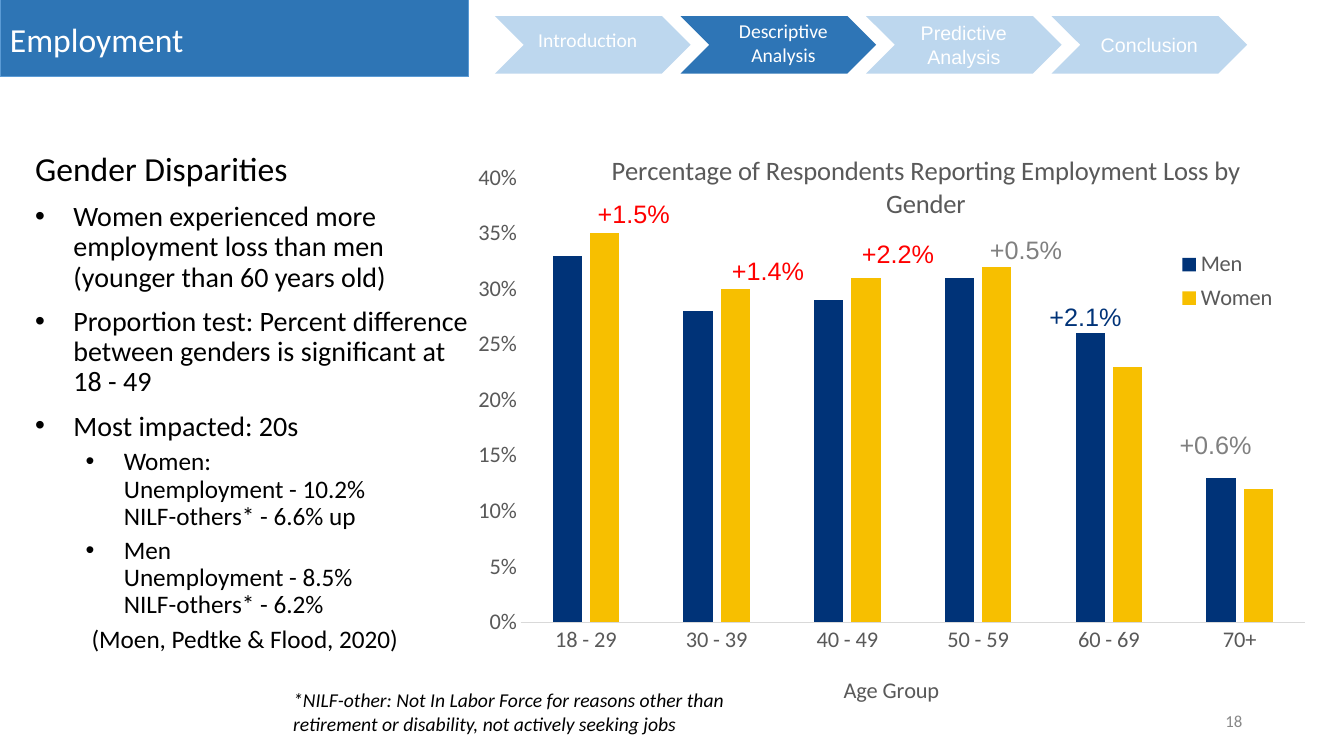
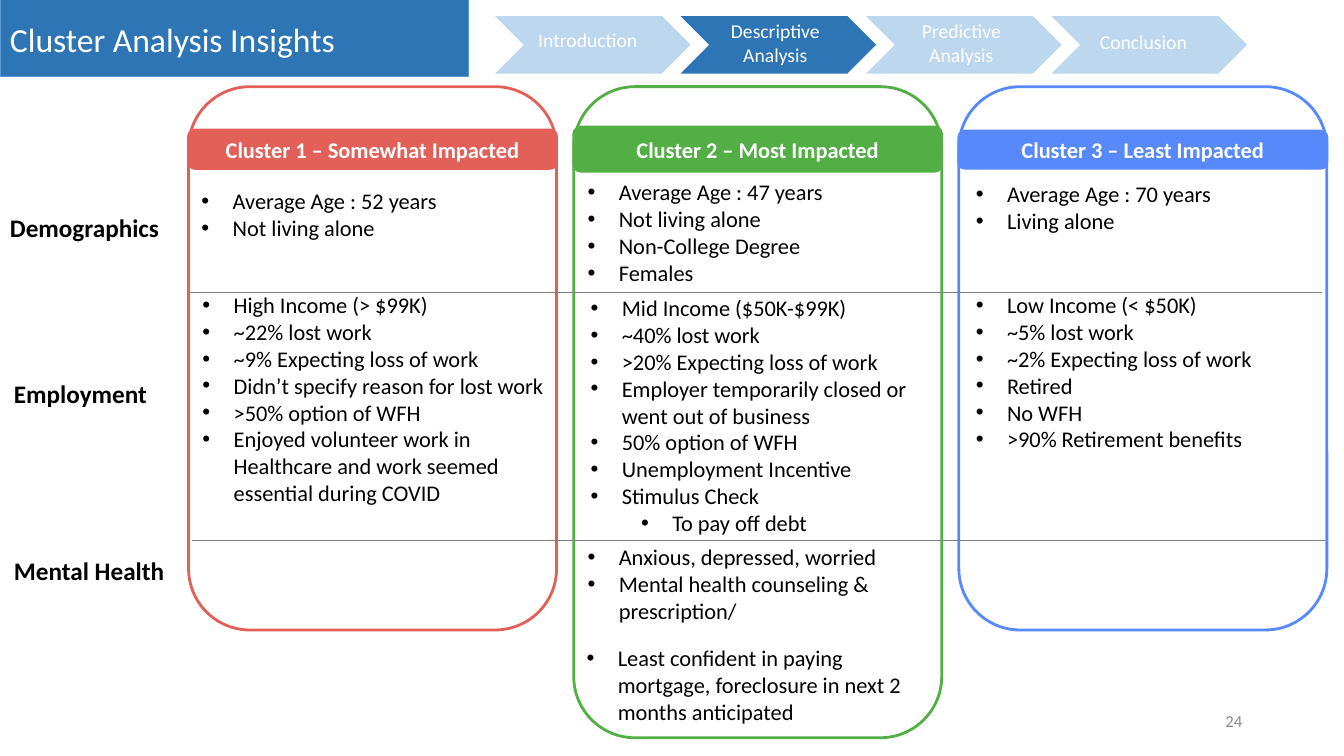
from lxml.etree import Element, SubElement
from pptx import Presentation
from pptx.chart.data import CategoryChartData
from pptx.dml.color import RGBColor
from pptx.enum.chart import XL_CHART_TYPE as ChartType, XL_LEGEND_POSITION as LegendPosition
from pptx.enum.chart import XL_TICK_MARK as TickMark
from pptx.enum.shapes import MSO_CONNECTOR as Connector, MSO_SHAPE as Shape
from pptx.enum.text import MSO_ANCHOR as Anchor, MSO_AUTO_SIZE as AutoSize, PP_ALIGN as Align
from pptx.oxml.ns import qn
from pptx.util import Inches, Pt

COLORS = {
    "band": "2E75B5", "band_line": "5B9BD5", "step": "BDD7EE", "active_step": "2E75B6",
    "white": "FFFFFF", "black": "000000", "page": "888888", "gray": "808080",
    "chart_text": "595959", "axis": "D9D9D9", "men": "003378", "women": "F7BF00",
    "gain": "FF0000", "cluster1": "E36059", "cluster2": "53AE46", "cluster3": "5789FB",
}
STEP_LEFT, STEP_PITCH, STEP_COUNT, ACTIVE_STEP = 4.91, 1.84, 4, 1


def rgb(name):
    return RGBColor.from_string(COLORS[name])


def style_font(font, size, color, name="Calibri", bold=False, italic=False):
    font.size, font.name, font.bold, font.italic = Pt(size), name, bold, italic
    font.color.rgb = rgb(color)


def write(paragraph, text, size, color="black", align=Align.LEFT, **style):
    paragraph.alignment = align
    for index, line in enumerate(text.split("\n")):
        if index:
            paragraph.add_line_break()
        run = paragraph.add_run()
        run.text = line
        style_font(run.font, size, color, **style)


def indent(paragraph, left, hanging=0, bullet=False):
    properties = paragraph._p.get_or_add_pPr()
    properties.set("marL", str(Inches(left)))
    properties.set("indent", str(-Inches(hanging)))
    if bullet:
        SubElement(properties, qn("a:buFont"), typeface="Arial")
        SubElement(properties, qn("a:buChar"), char="•")


def add_frame(slide, box, wrap=True, grow=True, anchor=Anchor.TOP):
    frame = slide.shapes.add_textbox(*map(Inches, box)).text_frame
    frame.word_wrap = wrap
    frame.auto_size = AutoSize.SHAPE_TO_FIT_TEXT if grow else AutoSize.NONE
    frame.vertical_anchor = anchor
    return frame


def add_text(slide, box, text, size, wrap=True, grow=True, anchor=Anchor.TOP, **style):
    frame = add_frame(slide, box, wrap, grow, anchor)
    write(frame.paragraphs[0], text, size, **style)


def add_paragraphs(frame, count):
    return [frame.paragraphs[0]] + [frame.add_paragraph() for _ in range(count - 1)]


def add_bullets(slide, box, items):
    paragraphs = add_paragraphs(add_frame(slide, box), len(items))
    for paragraph, item in zip(paragraphs, items):
        text, level = item if isinstance(item, tuple) else (item, 0)
        paragraph.level = level
        indent(paragraph, 0.31 + 0.5 * level, 0.31, bullet=True)
        write(paragraph, text, 16)


def add_shape(shapes, kind, box, fill=None, line=None, width=0.75):
    shape = shapes.add_shape(kind, *map(Inches, box))
    shape.shadow.inherit = False
    if fill:
        shape.fill.solid()
        shape.fill.fore_color.rgb = rgb(fill)
    else:
        shape.fill.background()
    if line:
        shape.line.color.rgb = rgb(line)
        shape.line.width = Pt(width)
    else:
        shape.line.fill.background()
    return shape


def add_shape_text(shape, text, size, **style):
    frame = shape.text_frame
    frame.word_wrap = True
    frame.vertical_anchor = Anchor.MIDDLE
    write(frame.paragraphs[0], text, size, "white", Align.CENTER, **style)


def add_rule(slide, left, top, width):
    rule = slide.shapes.add_connector(
        Connector.STRAIGHT, *map(Inches, (left, top, left + width, top)))
    rule.line.color.rgb = rgb("gray")
    rule.line.width = Pt(0.75)
    SubElement(rule._element.spPr, qn("a:effectLst"))


def add_base(presentation, title, number, labels, step_texts=()):
    slide = presentation.slides.add_slide(presentation.slide_layouts[6])
    add_shape(slide.shapes, Shape.RECTANGLE, (0, 0, 4.65, 0.76), "band", "band_line")
    add_text(slide, (0, 0, 4.65, 0.78), title, 24, color="white",
             grow=False, anchor=Anchor.MIDDLE)
    steps = []
    for index in range(STEP_COUNT):
        fill = "active_step" if index == ACTIVE_STEP else "step"
        box = (STEP_LEFT + index * STEP_PITCH, 0.16, 1.94, 0.57)
        steps.append(add_shape(slide.shapes, Shape.CHEVRON, box, fill))
    for index, text in step_texts:
        add_shape_text(steps[index], text, 14, name="Arial")
    add_text(slide, (5.24, 0.23, 1.27, 0.34), "Introduction", 14, color="white")
    for text, box, align in labels:
        add_text(slide, box, text, 14, color="white", align=align)
    add_text(slide, (9.42, 6.95, 3, 0.4), number, 12, color="page", align=Align.RIGHT,
             grow=False, anchor=Anchor.MIDDLE)
    return slide


def place(element, position, left, top, width=None, height=None, target=None):
    old = element.find(qn("c:layout"))
    if old is not None:
        element.remove(old)
    layout = Element(qn("c:layout"))
    element.insert(position, layout)
    manual = SubElement(layout, qn("c:manualLayout"))
    settings = {"layoutTarget": target, "xMode": "edge", "yMode": "edge",
                "x": left, "y": top, "w": width, "h": height}
    for name, value in settings.items():
        if value is not None:
            SubElement(manual, qn(f"c:{name}"), val=str(value))


def add_chart_title(title, text, size, left, top):
    write(title.text_frame.paragraphs[0], text, size, "chart_text", Align.CENTER)
    place(title._element, 1, left, top)


def add_employment_chart(slide):
    data = CategoryChartData(number_format="0%")
    data.categories = ["18 - 29", "30 - 39", "40 - 49", "50 - 59", "60 - 69", "70+"]
    data.add_series("Men", (0.33, 0.28, 0.29, 0.31, 0.26, 0.13))
    data.add_series("Women", (0.35, 0.3, 0.31, 0.32, 0.23, 0.12))
    box = map(Inches, (4.65, 1.04, 8.55, 6.04))
    chart = slide.shapes.add_chart(ChartType.COLUMN_CLUSTERED, *box, data).chart
    style_font(chart.font, 16, "chart_text")
    chart.has_title = True
    add_chart_title(chart.chart_title,
                    "Percentage of Respondents Reporting Employment Loss by Gender",
                    19, 0.16, 0.07)
    chart.chart_title.include_in_layout = False

    plot = chart.plots[0]
    plot.gap_width, plot.overlap, plot.vary_by_categories = 219, -27, False
    for series, color in zip(plot.series, ("men", "women")):
        series.format.fill.solid()
        series.format.fill.fore_color.rgb = rgb(color)
    place(chart._chartSpace.chart.plotArea, 0, 0.06, 0.12, 0.91, 0.73, "inner")

    for axis in (chart.category_axis, chart.value_axis):
        axis.has_major_gridlines = False
        axis.major_tick_mark = axis.minor_tick_mark = TickMark.NONE
        style_font(axis.tick_labels.font, 16, "chart_text")
    chart.category_axis.format.line.color.rgb = rgb("axis")
    chart.category_axis.format.line.width = Pt(0.75)
    add_chart_title(chart.category_axis.axis_title, "Age Group", 16, 0.43, 0.93)
    values = chart.value_axis
    values.format.line.fill.background()
    values.minimum_scale, values.maximum_scale, values.major_unit = 0, 0.4, 0.05
    values.tick_labels.number_format = "0%"
    values.tick_labels.number_format_is_linked = False

    chart.has_legend = True
    legend = chart.legend
    legend.position = LegendPosition.BOTTOM
    legend.include_in_layout = False
    style_font(legend.font, 16, "chart_text")
    place(legend._element, 1, 0.81, 0.23, 0.14, 0.12)


def add_disparities(slide):
    items = [
        ("Gender Disparities", 24, 0, 0.12, 0),
        ("Women experienced more employment loss than men (younger than 60 years old)",
         20, 0, 0.5, 0.38),
        ("Proportion test: Percent difference between genders is significant at 18 - 49",
         20, 0, 0.5, 0.38),
        ("Most impacted: 20s", 20, 0, 0.5, 0.38),
        ("Women:\nUnemployment - 10.2%\nNILF-others* - 6.6% up", 18, 1, 1, 0.38),
        ("Men\nUnemployment - 8.5%\nNILF-others* - 6.2%", 18, 1, 1, 0.38),
        ("(Moen, Pedtke & Flood, 2020)", 18, 1, 0.68, 0),
    ]
    frame = add_frame(slide, (0.13, 1.46, 4.65, 5.15), grow=False)
    for paragraph, item in zip(add_paragraphs(frame, len(items)), items):
        text, size, level, left, hanging = item
        paragraph.level = level
        paragraph.line_spacing = 0.9
        paragraph.space_before = Pt(5 if level else 10)
        indent(paragraph, left, hanging, bullet=hanging > 0)
        write(paragraph, text, size)


def add_employment_slide(presentation):
    slide = add_base(
        presentation, "Employment", "18",
        [("Descriptive Analysis", (7.08, 0.14, 1.38, 0.57), Align.CENTER)],
        [(2, "Predictive Analysis"), (3, "Conclusion")])
    add_disparities(slide)
    add_employment_chart(slide)
    differences = [
        ("+1.5%", 5.83, 1.92, "gain"), ("+1.4%", 7.16, 2.48, "gain"),
        ("+2.2%", 8.45, 2.32, "gain"), ("+0.5%", 9.72, 2.28, "gray"),
        ("+2.1%", 10.31, 2.94, "men"), ("+0.6%", 11.6, 4.21, "gray"),
    ]
    for text, left, top, color in differences:
        add_text(slide, (left, top, 0.92, 0.4), text, 18, wrap=False,
                 color=color, name="Arial")
    add_text(slide, (2.81, 6.78, 4.91, 0.57),
             "*NILF-other: Not In Labor Force for reasons other than retirement or "
             "disability, not actively seeking jobs", 14, italic=True)


def add_cluster_card(slide, index, title, height, header_top, header_height):
    color = f"cluster{index + 1}"
    left = 1.87 + 3.82 * index
    shapes = slide.shapes.add_group_shape().shapes
    add_shape(shapes, Shape.ROUNDED_RECTANGLE, (left, 0.86, 3.65, height), None, color, 2)
    header = add_shape(shapes, Shape.ROUNDED_RECTANGLE,
                       (left, header_top, 3.65, header_height), color, color, 2)
    add_shape_text(header, title, 16, bold=True)


def add_cluster_slide(presentation):
    slide = add_base(presentation, "Cluster Analysis Insights", "24", [
        ("Descriptive Analysis", (6.94, 0.14, 1.5, 0.57), Align.CENTER),
        ("Predictive Analysis", (8.9, 0.14, 1.27, 0.57), Align.CENTER),
        ("Conclusion", (10.81, 0.25, 1.27, 0.34), Align.LEFT)])
    cards = [
        ("Cluster 1 – Somewhat Impacted", 5.39, 1.29, 0.38),
        ("Cluster 2 – Most Impacted", 6.46, 1.26, 0.44),
        ("Cluster 3 – Least Impacted", 5.39, 1.3, 0.37),
    ]
    for index, card in enumerate(cards):
        add_cluster_card(slide, index, *card)
    row_labels = [("Demographics", 0, 2.06, 1.69), ("Employment", 0.04, 3.7, 1.53),
                  ("Mental Health", 0.04, 5.46, 1.7)]
    for text, left, top, width in row_labels:
        add_text(slide, (left, top, width, 0.4), text, 18, wrap=False, bold=True)
    findings = [
        (1.9, 1.81, 0.64, ["Average Age : 52 years", "Not living alone"]),
        (5.73, 1.72, 1.18, ["Average Age : 47 years", "Not living alone",
                            "Non-College Degree", "Females"]),
        (9.58, 1.74, 0.64, ["Average Age : 70 years", "Living alone"]),
        (1.91, 2.84, 2.26, ["High Income (> $99K)", "~22% lost work",
                            "~9% Expecting loss of work",
                            "Didn’t specify reason for lost work", ">50% option of WFH",
                            "Enjoyed volunteer work in Healthcare and work seemed "
                            "essential during COVID"]),
        (5.76, 2.87, 2.79, ["Mid Income ($50K-$99K)", "~40% lost work",
                            ">20% Expecting loss of work",
                            "Employer temporarily closed or went out of business",
                            "50% option of WFH", "Unemployment Incentive",
                            "Stimulus Check", ("To pay off debt", 1)]),
        (9.58, 2.84, 1.99, ["Low Income (< $50K)", "~5% lost work",
                            "~2% Expecting loss of work", "Retired", "No WFH",
                            ">90% Retirement benefits"]),
        (5.73, 5.34, 0.91, ["Anxious, depressed, worried",
                            "Mental health counseling & prescription/"]),
        (5.72, 6.34, 0.91, ["Least confident in paying mortgage, foreclosure in next 2 "
                            "months anticipated"]),
    ]
    for left, top, height, items in findings:
        add_bullets(slide, (left, top, 3.6, height), items)
    for left, top in ((1.87, 2.9), (1.9, 5.36)):
        add_rule(slide, left, top, 11.24)


def main():
    presentation = Presentation()
    presentation.slide_width, presentation.slide_height = Inches(13.33), Inches(7.5)
    add_employment_slide(presentation)
    add_cluster_slide(presentation)
    presentation.save("out.pptx")


if __name__ == "__main__":
    main()
